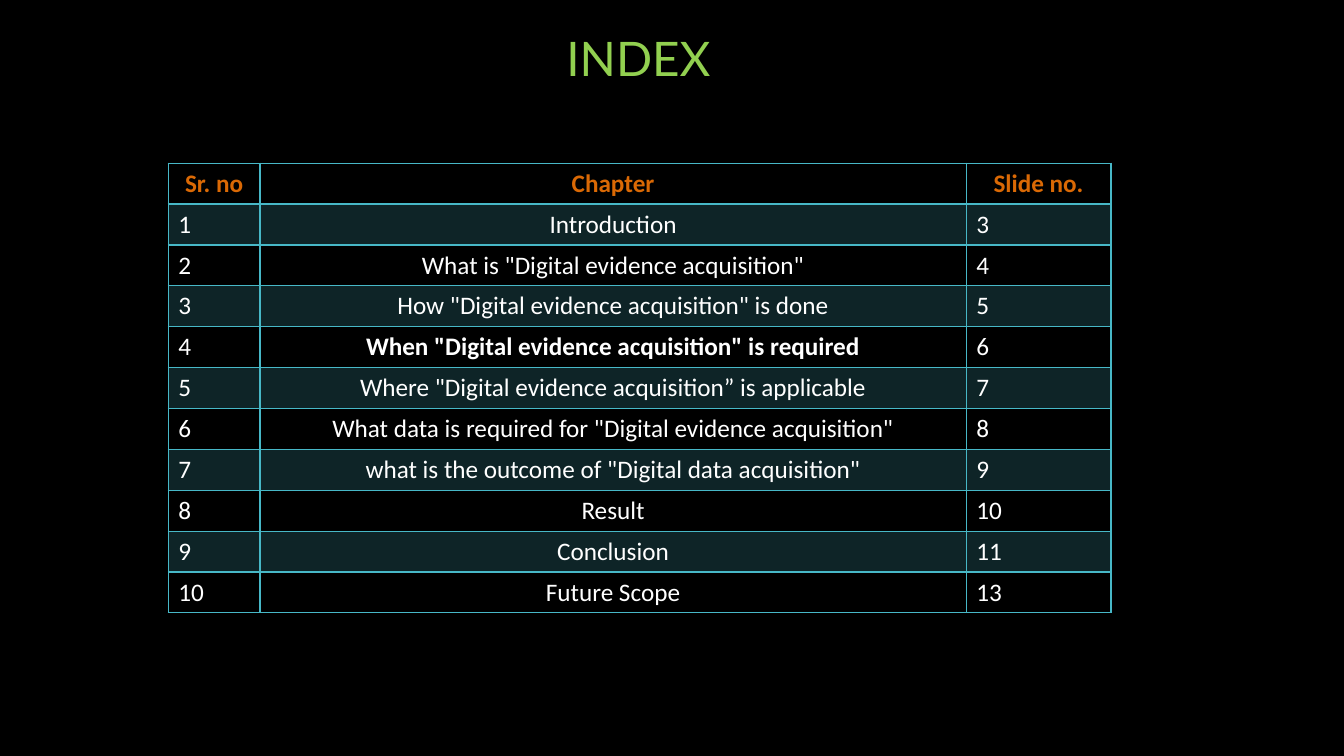
import pptx
import pptx.util
import pptx.dml.color
import pptx.enum.text
import pptx.oxml
import pptx.oxml.ns
from lxml import etree

Pt = pptx.util.Pt
RGBColor = pptx.dml.color.RGBColor
Align = pptx.enum.text.PP_ALIGN
Anchor = pptx.enum.text.MSO_ANCHOR

# Content
TITLE = "INDEX"
HEADER = ("Sr. no", "Chapter", "Slide no.")
CHAPTERS = [
    ("Introduction", 3),
    ('What is "Digital evidence acquisition"', 4),
    ('How "Digital evidence acquisition" is done', 5),
    ('When "Digital evidence acquisition" is required', 6),
    ('Where "Digital evidence acquisition” is applicable', 7),
    ('What data is required for "Digital evidence acquisition"', 8),
    ('what is the outcome of "Digital data acquisition"', 9),
    ("Result", 10),
    ("Conclusion", 11),
    ("Future Scope", 13),
]
CURRENT_CHAPTER = 4

THEME = {
    "background": "000000",
    "title": "92D050",
    "header": "DA6905",
    "text": "FFFFFF",
    "accent": "47B8C7",
    "band_opacity": 20,
    "title_font": "Lato",
    "table_font": "Calibri",
    "title_size": 34,
    "table_size": 18,
}

# Layout in points
SLIDE_SIZE = (960, 540)
TITLE_BOX = (393.8, 20.9, 124.6, 44.6)
TABLE_LEFT, TABLE_TOP = 120.2, 116.6
COLUMN_WIDTHS = (65.5, 504.5, 103.4)
ROW_HEIGHT = 29.2
THIN, THICK = 1, 2


def add_run(paragraph, text, font_name, size, color, bold=False):
    run = paragraph.add_run()
    run.text = text
    run.font.name = font_name
    run.font.size = Pt(size)
    run.font.bold = bold
    run.font.color.rgb = RGBColor.from_string(THEME[color])


def set_borders(cell, top, bottom):
    properties = cell._tc.get_or_add_tcPr()
    for side, width in (("L", THIN), ("R", THIN), ("T", top), ("B", bottom)):
        line = etree.SubElement(properties, pptx.oxml.ns.qn(f"a:ln{side}"), w=str(Pt(width)))
        fill = etree.SubElement(line, pptx.oxml.ns.qn("a:solidFill"))
        etree.SubElement(fill, pptx.oxml.ns.qn("a:srgbClr"), val=THEME["accent"])


def fill_cell(cell, banded):
    if not banded:
        cell.fill.background()
        return
    cell.fill.solid()
    cell.fill.fore_color.rgb = RGBColor.from_string(THEME["accent"])
    color = cell._tc.tcPr.find(
        f"{pptx.oxml.ns.qn('a:solidFill')}/{pptx.oxml.ns.qn('a:srgbClr')}")
    etree.SubElement(color, pptx.oxml.ns.qn("a:alpha"), val=str(THEME["band_opacity"] * 1000))


def add_title(slide):
    title = slide.shapes.title
    title.left, title.top, title.width, title.height = map(Pt, TITLE_BOX)
    frame = title.text_frame
    frame.auto_size = pptx.enum.text.MSO_AUTO_SIZE.NONE
    frame.vertical_anchor = Anchor.BOTTOM
    paragraph = frame.paragraphs[0]
    paragraph.alignment = Align.CENTER
    paragraph.line_spacing = 0.9
    add_run(paragraph, TITLE, THEME["title_font"], THEME["title_size"], "title")


def add_index_table(slide):
    rows = [HEADER] + [
        (str(number), chapter, str(page))
        for number, (chapter, page) in enumerate(CHAPTERS, start=1)
    ]
    frame = slide.shapes.add_table(
        len(rows), len(HEADER), Pt(TABLE_LEFT), Pt(TABLE_TOP),
        Pt(sum(COLUMN_WIDTHS)), Pt(ROW_HEIGHT * len(rows)))
    table = frame.table
    table.horz_banding = False
    for column, width in zip(table.columns, COLUMN_WIDTHS):
        column.width = Pt(width)

    for row_index, values in enumerate(rows):
        table.rows[row_index].height = Pt(ROW_HEIGHT)
        is_header = row_index == 0
        for column_index, value in enumerate(values):
            cell = table.cell(row_index, column_index)
            is_chapter = column_index == 1
            set_borders(cell, THICK if row_index == 1 else THIN,
                        THICK if is_header else THIN)
            fill_cell(cell, banded=row_index % 2 == 1)
            paragraph = cell.text_frame.paragraphs[0]
            paragraph.alignment = Align.CENTER if is_header or is_chapter else Align.LEFT
            add_run(paragraph, value, THEME["table_font"], THEME["table_size"],
                    "header" if is_header else "text",
                    bold=is_header or (is_chapter and row_index == CURRENT_CHAPTER))


def main():
    presentation = pptx.Presentation()
    presentation.slide_width, presentation.slide_height = map(Pt, SLIDE_SIZE)
    slide = presentation.slides.add_slide(presentation.slide_layouts.get_by_name("Title Only"))

    # Background
    slide.background.fill.solid()
    slide.background.fill.fore_color.rgb = RGBColor.from_string(THEME["background"])

    # Title and index
    add_title(slide)
    add_index_table(slide)
    presentation.save("out.pptx")


if __name__ == "__main__":
    main()
